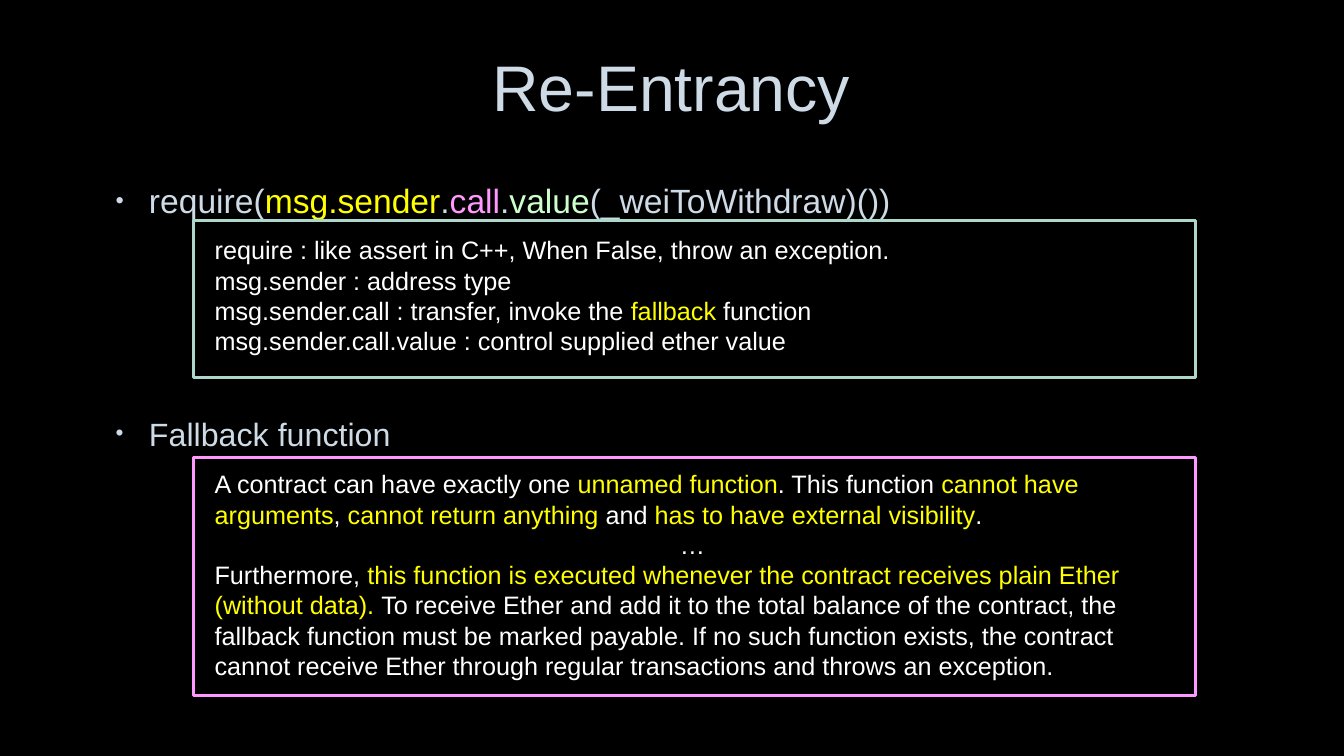
from lxml.etree import SubElement
from pptx import Presentation
from pptx.dml.color import RGBColor
from pptx.enum.shapes import MSO_SHAPE
from pptx.enum.text import MSO_ANCHOR, PP_ALIGN
from pptx.oxml.ns import qn
from pptx.util import Inches, Pt

PALE = "CEDBE6"
WHITE = "FFFFFF"
YELLOW = "FFFF00"
PINK = "FF99FF"
MINT = "CCFFCC"
SAGE = "ACD7CA"


def color(value):
    return RGBColor.from_string(value)


class SlideBuilder:
    font = "Arial"
    frame_left, frame_width = 14.4, 74.55
    text_left, text_width = 15.23, 72.6

    def __init__(self, deck):
        self.deck = deck
        self.page = deck.slides.add_slide(deck.slide_layouts[5])
        fill = self.page.background.fill
        fill.solid()
        fill.fore_color.rgb = color("000000")

    def area(self, left, top, width, height):
        across, down = self.deck.slide_width / 100, self.deck.slide_height / 100
        return [round(length) for length in
                (left * across, top * down, width * across, height * down)]

    def fill_paragraph(self, para, spans, size, base):
        para.font.name = self.font
        para.font.size = Pt(size)
        para.font.color.rgb = color(base)
        for text, tint in spans:
            span = para.add_run()
            span.text = text
            if tint != base:
                span.font.color.rgb = color(tint)

    def title(self, text, *place):
        box = self.page.shapes.title
        box.left, box.top, box.width, box.height = self.area(*place)
        box.text_frame.vertical_anchor = MSO_ANCHOR.MIDDLE
        para = box.text_frame.paragraphs[0]
        para.alignment = PP_ALIGN.CENTER
        para.line_spacing = 0.9
        self.fill_paragraph(para, [(text, PALE)], 46, PALE)

    def text_frame(self, *place):
        frame = self.page.shapes.add_textbox(*self.area(*place)).text_frame
        frame.word_wrap = True
        return frame

    def paragraphs(self, frame, count):
        return [frame.paragraphs[0]] + [frame.add_paragraph() for _ in range(count - 1)]

    def bullets(self, items, gap, *place):
        frame = self.text_frame(*place)
        for index, para in enumerate(self.paragraphs(frame, len(items))):
            size, spans = items[index]
            properties = para._p.get_or_add_pPr()
            properties.set("marL", str(Inches(0.38)))
            properties.set("indent", str(Inches(-0.33)))
            tint = SubElement(properties, qn("a:buClr"))
            SubElement(tint, qn("a:srgbClr"), val=PALE)
            SubElement(properties, qn("a:buSzPct"), val="70000")
            SubElement(properties, qn("a:buFont"), typeface=self.font)
            SubElement(properties, qn("a:buChar"), char="•")
            if index:
                para.space_before = Pt(gap)
            self.fill_paragraph(para, spans, size, PALE)

    def panel(self, lines, outline, top, height, text_top, text_height):
        frame = self.page.shapes.add_shape(
            MSO_SHAPE.RECTANGLE, *self.area(self.frame_left, top, self.frame_width, height))
        frame.shadow.inherit = False
        frame.fill.background()
        frame.line.color.rgb = color(outline)
        frame.line.width = Pt(2.25)
        text = self.text_frame(self.text_left, text_top, self.text_width, text_height)
        for para, (alignment, spans) in zip(self.paragraphs(text, len(lines)), lines):
            para.alignment = alignment
            self.fill_paragraph(para, spans, 18, WHITE)


def main():
    deck = Presentation()
    deck.slide_width, deck.slide_height = Inches(13.33), Inches(7.5)
    slide = SlideBuilder(deck)
    left, center = PP_ALIGN.LEFT, PP_ALIGN.CENTER

    slide.title("Re-Entrancy", 7.5, 2.8, 84.9, 18.4)
    slide.bullets([
        (24, [("require(", PALE), ("msg.sender", YELLOW), (".", PALE), ("call", PINK),
              (".", PALE), ("value", MINT), ("(_weiToWithdraw)())", PALE)]),
        (23, [("Fallback function", PALE)]),
    ], 138, 7.5, 23.2, 84.9, 73.4)

    slide.panel([
        (left, [("require : like assert in C++, When False, throw an exception.", WHITE)]),
        (left, [("msg.sender : address type", WHITE)]),
        (left, [("msg.sender.call : transfer, invoke the ", WHITE),
                ("fallback", YELLOW), (" function", WHITE)]),
        (left, [("msg.sender.call.value : control supplied ether value", WHITE)]),
    ], SAGE, 29.2, 20.8, 30.4, 17.47)

    slide.panel([
        (left, [("A contract can have exactly one ", WHITE), ("unnamed function", YELLOW),
                (". This function ", WHITE), ("cannot have arguments", YELLOW),
                (", ", WHITE), ("cannot return anything ", YELLOW), ("and ", WHITE),
                ("has to have external visibility", YELLOW), (".", WHITE)]),
        (center, [("…", WHITE)]),
        (left, [("Furthermore, ", WHITE),
                ("this function is executed whenever the contract receives plain Ether "
                 "(without data). ", YELLOW),
                ("To receive Ether and add it to the total balance of the contract, the "
                 "fallback function must be marked payable. If no such function exists, "
                 "the contract cannot receive Ether through regular transactions and "
                 "throws an exception.", WHITE)]),
    ], PINK, 60.53, 31.47, 61.33, 29.6)

    deck.save("out.pptx")


if __name__ == "__main__":
    main()
